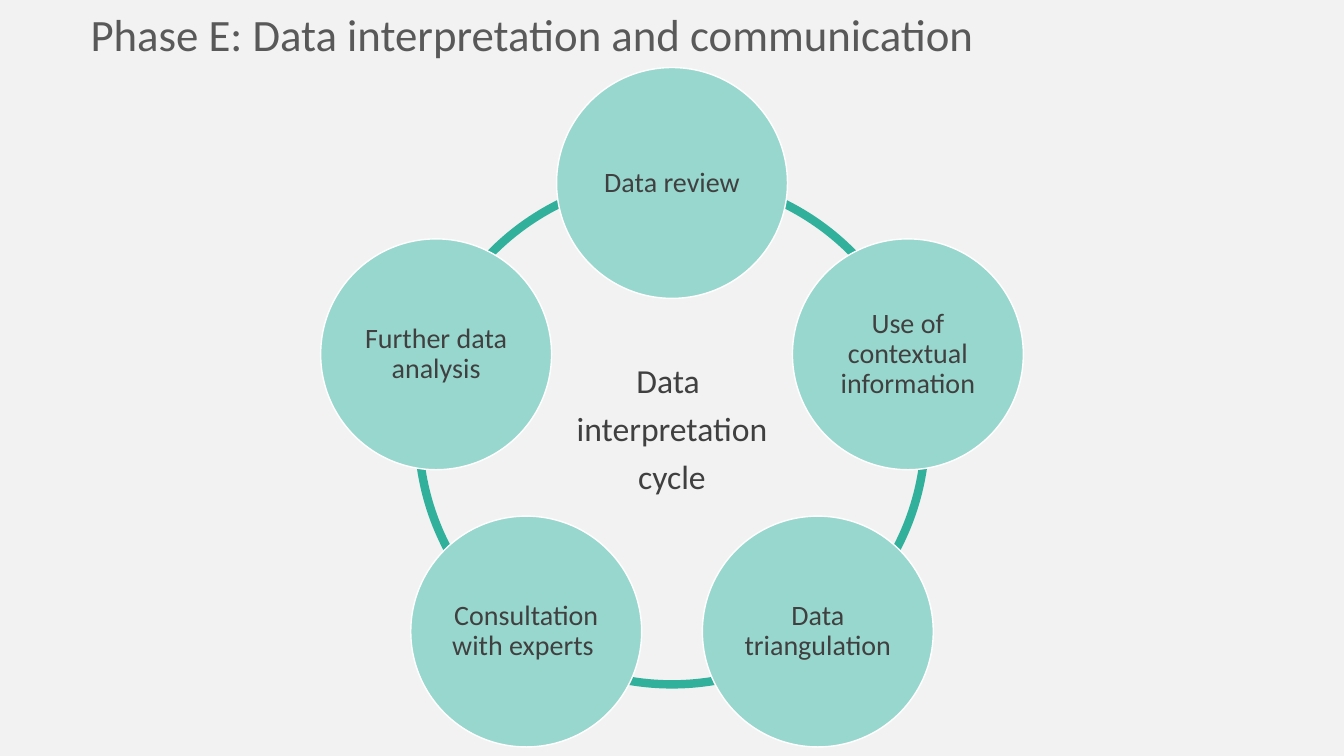
import math
import pptx
import pptx.util
import pptx.dml.color
import pptx.enum.shapes
import pptx.enum.text

WIDE, HIGH = 13.33, 7.5
MID_X, MID_Y = 0.5 * WIDE, 0.57 * HIGH
ORBIT = 2.46
RING = 5.03
DISC = 2.29
FONT = "Calibri"
COLORS = {
    "back": "F2F2F2",
    "title": "595959",
    "text": "404040",
    "ring": "31B09C",
    "disc": "98D7CE",
    "edge": "FFFFFF",
}
STEPS = [
    "Data review",
    "Use of contextual information",
    "Data triangulation",
    "Consultation with experts ",
    "Further data analysis",
]


def color(name):
    return pptx.dml.color.RGBColor.from_string(COLORS[name])


def style(para, size, name):
    para.font.name = FONT
    para.font.size = pptx.util.Pt(size)
    para.font.color.rgb = color(name)


def add_title(slide, text):
    box = slide.shapes.add_textbox(
        *map(pptx.util.Inches, (0.06 * WIDE, 0.02, 0.82 * WIDE, 0.64)))
    box.text_frame.word_wrap = True
    para = box.text_frame.paragraphs[0]
    para.text = text
    style(para, 32, "title")


def add_circle(slide, x, y, size, lines, points, fill, edge, weight, inset):
    shape = slide.shapes.add_shape(
        pptx.enum.shapes.MSO_SHAPE.OVAL,
        *map(pptx.util.Inches, (x - size / 2, y - size / 2, size, size)))
    shape.shadow.inherit = False
    if fill:
        shape.fill.solid()
        shape.fill.fore_color.rgb = color(fill)
    else:
        shape.fill.background()
    shape.line.color.rgb = color(edge)
    shape.line.width = pptx.util.Pt(weight)
    frame = shape.text_frame
    frame.word_wrap = True
    frame.vertical_anchor = pptx.enum.text.MSO_ANCHOR.MIDDLE
    frame.margin_left = frame.margin_right = pptx.util.Inches(inset)
    frame.margin_top = frame.margin_bottom = pptx.util.Inches(inset)
    frame.text = "\n".join(lines)
    for para in frame.paragraphs:
        para.alignment = pptx.enum.text.PP_ALIGN.CENTER
        para.line_spacing = 0.9
        para.space_after = pptx.util.Pt(0.35 * points)
        style(para, points, "text")


def add_cycle(slide, steps):
    add_circle(slide, MID_X, MID_Y, RING, ["Data ", "interpretation", "cycle"],
               24, None, "ring", 6, 0.03)
    for i, step in enumerate(steps):
        angle = math.tau * i / len(steps)
        add_circle(slide, MID_X + ORBIT * math.sin(angle),
                   MID_Y - ORBIT * math.cos(angle), DISC, [step],
                   20, "disc", "edge", 1, 0)


def main():
    """Build the data interpretation cycle slide."""
    deck = pptx.Presentation()
    deck.slide_width = pptx.util.Inches(WIDE)
    deck.slide_height = pptx.util.Inches(HIGH)
    slide = deck.slides.add_slide(deck.slide_layouts[6])
    slide.background.fill.solid()
    slide.background.fill.fore_color.rgb = color("back")
    add_title(slide, "Phase E: Data interpretation and communication")
    add_cycle(slide, STEPS)
    deck.save("out.pptx")


if __name__ == "__main__":
    main()
